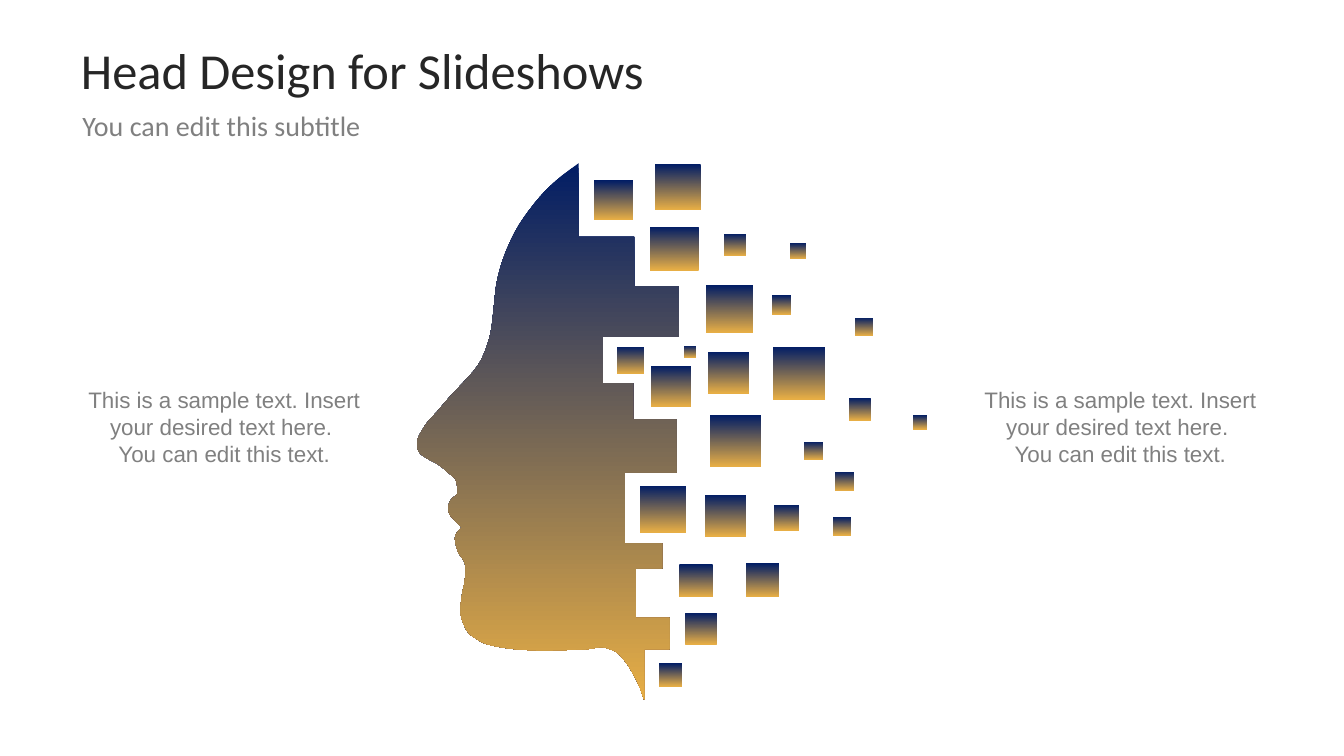
from pptx import Presentation
from pptx.dml.color import RGBColor
from pptx.enum.shapes import MSO_SHAPE
from pptx.enum.text import MSO_ANCHOR, MSO_AUTO_SIZE, PP_ALIGN
from pptx.util import Pt

RECTANGLE = MSO_SHAPE.RECTANGLE
MIDDLE, TOP = MSO_ANCHOR.MIDDLE, MSO_ANCHOR.TOP
LEFT, CENTER = PP_ALIGN.LEFT, PP_ALIGN.CENTER
GROW = MSO_AUTO_SIZE.SHAPE_TO_FIT_TEXT

COLORS = {"title": "262626", "text": "808080", "navy": "011D65", "gold": "E7AE45"}

CROWN = (413.3, 116.6)
# Each step of the broken edge: x of its side, y of its lower end.
STEPS = [
    (413.3, 169.2), (452.9, 204.5), (485.3, 240.5), (430.6, 273.6),
    (452.2, 299.5), (483.1, 337.7), (446.4, 388.1), (473, 406.1),
    (454.3, 441.4), (478.1, 463.7), (460.1, 499.7),
]
CHIN = [
    (460.1, 499.7), (455.8, 488.2), (448.6, 475.2), (441.4, 466.6),
    (435.6, 463.7), (429.1, 462.2), (419.8, 463.7), (401, 464.4),
    (378.7, 464.4), (362.2, 463), (347.8, 460.1), (340.6, 456.5),
    (334.8, 452.2), (331.2, 445.7), (329, 437.8), (329.8, 426.2),
    (331.9, 415.4), (332.6, 406.1), (331.2, 400.3), (327.6, 395.3),
]
LOWER_LIP = [(327.6, 395.3), (325.4, 388.1), (325.4, 382.3), (329.8, 376.6)]
UPPER_LIP = [
    (329.8, 376.6), (325.4, 372.2), (321.1, 367.2), (320.4, 361.4),
    (322.6, 356.4), (326.2, 353.5), (326.9, 349.2), (325.4, 342),
]
NOSE_AND_BROW = [
    (325.4, 342), (321.1, 338.4), (313.2, 331.9), (305.3, 327.6),
    (300.2, 324), (298.1, 319.7), (298.1, 314.6), (300.2, 309.6),
    (305.3, 301.7), (312.5, 293.8), (321.1, 283.7), (332.6, 271.4),
    (340.6, 262.1), (346.3, 251.3), (350.6, 236.9), (352.8, 218.9),
    (355, 200.9), (360.7, 181.4), (370.8, 160.6), (385.2, 141.1),
    (398.2, 128.2), CROWN,
]
FRAGMENTS = [
    (552.2, 247.7, 37.4, 37.4), (504, 203.8, 33.8, 33.8),
    (464.4, 162, 34.6, 31), (551.5, 211, 13.7, 13.7),
    (517, 167, 15.8, 15.8), (564.5, 173.5, 11.5, 11.5),
    (574.6, 315.4, 13, 13), (503.3, 353.5, 29.5, 29.5),
    (505.4, 251.3, 29.5, 29.5), (485.3, 403.2, 23.8, 23),
    (465.1, 261.4, 28.8, 28.8), (470.9, 473.8, 16.6, 16.6),
    (440.6, 247.7, 19.4, 19.4), (553, 360.7, 18, 18),
    (424.1, 128.9, 28.1, 28.1), (596.2, 337, 13.7, 13.7),
    (606.2, 284.4, 15.8, 15.8), (594.7, 369.4, 13, 13),
    (610.6, 226.8, 13, 13), (532.8, 402.5, 23.8, 23.8),
    (468, 117.4, 32.4, 32.4), (457.2, 347, 33.1, 33.1),
    (506.9, 296.6, 36.7, 36.7), (489.6, 437.8, 22.3, 22.3),
    (652.3, 296.6, 10.1, 10.1), (488.9, 247, 8.6, 8.6),
]
SAMPLE_LINES = [
    "This is a sample text. Insert your desired text here. ",
    "You can edit this text.",
]


def staircase(top, steps):
    """Return the corners of the broken edge below its top point."""
    corners, level = [], top[1]
    for side, bottom in steps:
        corners += [(side, level), (side, bottom)]
        level = bottom
    return corners[1:]


def smooth(knots, pieces=4):
    """Return points of a Catmull-Rom curve through the knots."""
    padded = [knots[0], *knots, knots[-1]]
    curve = []
    for before, start, end, after in zip(padded, padded[1:], padded[2:], padded[3:]):
        for piece in range(1, pieces + 1):
            t = piece / pieces
            curve.append(tuple(
                (2 * b + (c - a) * t + (2 * a - 5 * b + 4 * c - d) * t**2
                 + (3 * b - a - 3 * c + d) * t**3) / 2
                for a, b, c, d in zip(before, start, end, after)
            ))
    return curve


def write(frame, lines, *, size, color, font, align=LEFT, anchor=TOP):
    """Fill a text frame with one formatted paragraph per line."""
    frame.word_wrap = True
    frame.vertical_anchor = anchor
    for index, line in enumerate(lines):
        paragraph = frame.add_paragraph() if index else frame.paragraphs[0]
        paragraph.alignment = align
        run = paragraph.add_run()
        run.text = line
        run.font.size = Pt(size)
        run.font.name = font
        run.font.color.rgb = RGBColor.from_string(COLORS[color])


class HeadSlide:
    """Holds the style and the current slide."""

    heading_font, body_font = "Calibri", "Arial"

    def __init__(self, deck):
        """Add a slide with a title only."""
        self.slide = deck.slides.add_slide(deck.slide_layouts[5])
        self.head = self.slide.shapes.add_group_shape().shapes

    def title(self, line):
        """Place and fill the title."""
        heading = self.slide.shapes.title
        heading.left, heading.top = Pt(48.2), Pt(21.6)
        heading.width, heading.height = Pt(864), Pt(56.2)
        frame = heading.text_frame
        frame.margin_left = frame.margin_right = Pt(9.6)
        frame.margin_top = frame.margin_bottom = Pt(4.8)
        write(frame, [line], size=36, color="title", font=self.heading_font,
              anchor=MIDDLE)

    def text(self, lines, left, top, width, height, **style):
        """Add a text box that grows with its text."""
        box = self.slide.shapes.add_textbox(Pt(left), Pt(top), Pt(width), Pt(height))
        write(box.text_frame, lines, color="text", **style)
        box.text_frame.auto_size = GROW

    def paint(self, part):
        """Fill a part of the head from navy down to gold."""
        part.shadow.inherit = False
        part.line.fill.background()
        part.fill.gradient()
        part.fill.gradient_angle = 270
        for stop, color in zip(part.fill.gradient_stops, ("navy", "gold")):
            stop.color.rgb = RGBColor.from_string(COLORS[color])

    def profile(self, start, outline):
        """Add the closed outline of the face."""
        builder = self.head.build_freeform(Pt(start[0]), Pt(start[1]))
        builder.add_line_segments([(Pt(x), Pt(y)) for x, y in outline], close=True)
        self.paint(builder.convert_to_shape())

    def fragment(self, *box):
        """Add one loose block of the head."""
        self.paint(self.head.add_shape(RECTANGLE, *map(Pt, box)))


def main():
    """Build and save the slide."""
    deck = Presentation()
    deck.slide_width, deck.slide_height = Pt(960), Pt(540)
    page = HeadSlide(deck)
    page.title("Head Design for Slideshows")
    outline = staircase(CROWN, STEPS)
    for strand in (CHIN, LOWER_LIP, UPPER_LIP, NOSE_AND_BROW):
        outline += smooth(strand)
    page.profile(CROWN, outline)
    for box in FRAGMENTS:
        page.fragment(*box)
    for left in (47.5, 687.6):
        page.text(SAMPLE_LINES, left, 272.2, 225.4, 65.5, size=16,
                  font=page.body_font, align=CENTER)
    page.text(["You can edit this subtitle"], 51.8, 74.2, 312.5, 31.7, size=20,
              font=page.heading_font)
    deck.save("out.pptx")


if __name__ == "__main__":
    main()
